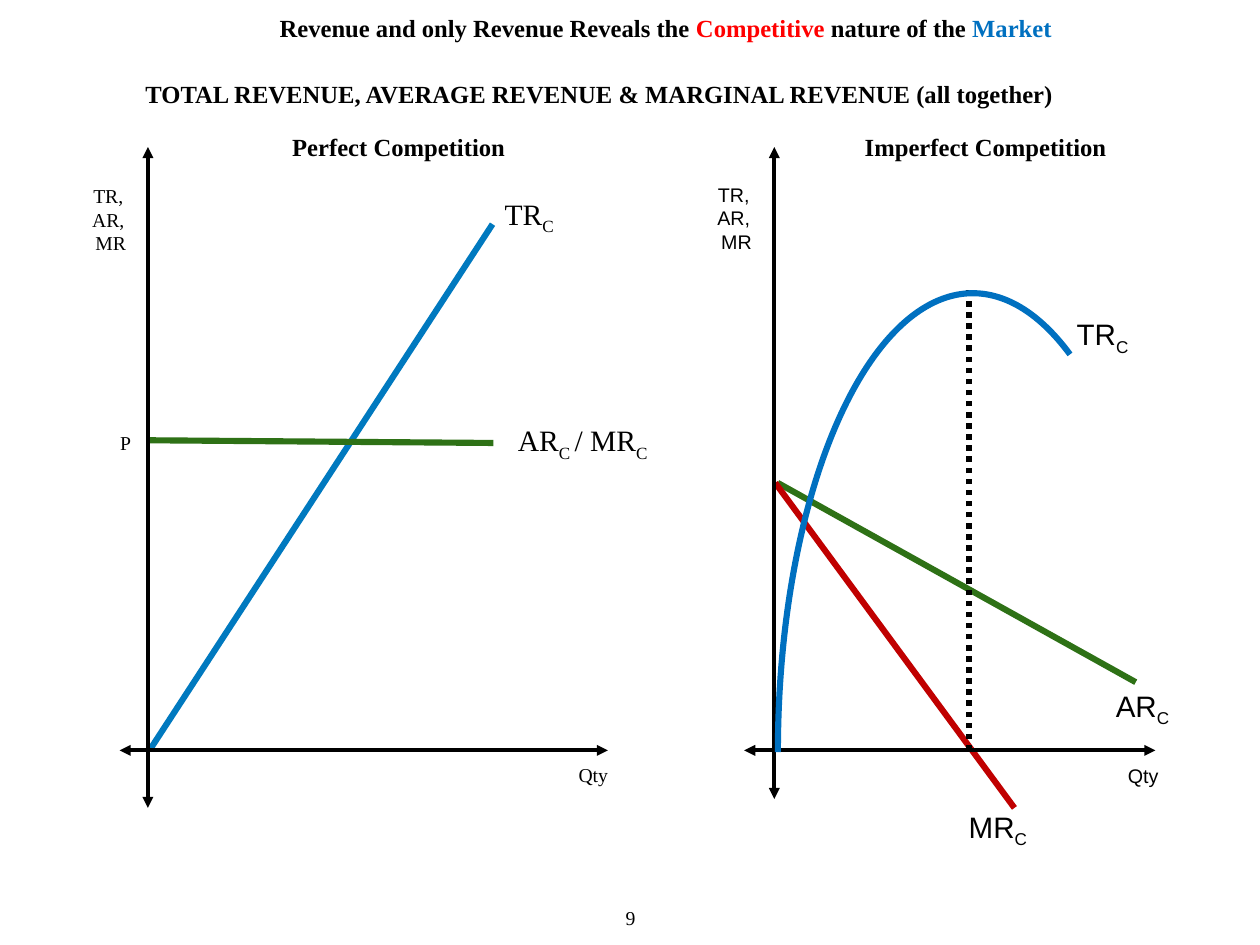
from pptx import Presentation
from pptx.dml.color import RGBColor
from pptx.enum.dml import MSO_LINE
from pptx.enum.shapes import MSO_CONNECTOR, MSO_SHAPE
from pptx.enum.text import MSO_ANCHOR, MSO_AUTO_SIZE, PP_ALIGN
from pptx.oxml.ns import qn
from pptx.util import Pt
from lxml.etree import SubElement


class Theme:
    black = RGBColor(0x00, 0x00, 0x00)
    blue = RGBColor(0x00, 0x79, 0xBF)
    curve = RGBColor(0x00, 0x70, 0xC0)
    green = RGBColor(0x2E, 0x71, 0x16)
    dark_red = RGBColor(0xC0, 0x00, 0x00)
    red = RGBColor(0xFF, 0x00, 0x00)
    serif, sans = "Times New Roman", "Arial"
    small, head, large = Pt(16), Pt(20), Pt(24)
    axis, dots, thick = Pt(3), Pt(4.5), Pt(5)


deck = Presentation()
deck.slide_width, deck.slide_height = Pt(1024), Pt(768)
slide = deck.slides.add_slide(deck.slide_layouts[5])
shapes = slide.shapes


def label(parts, box, size, face, bold=False, wrap=True):
    """Add centred text; every second part is set as a subscript."""
    frame = shapes.add_textbox(*map(Pt, box)).text_frame
    frame.word_wrap = wrap
    frame.vertical_anchor = MSO_ANCHOR.MIDDLE
    frame.margin_left = frame.margin_right = Pt(4.5)
    frame.margin_top = frame.margin_bottom = Pt(4.5)
    frame.text = parts[0]
    for part in parts[1:]:
        frame.paragraphs[-1].add_run().text = part
    for para in frame.paragraphs:
        para.alignment = PP_ALIGN.CENTER
        for i, run in enumerate(para.runs):
            run.font.size, run.font.name, run.font.bold = size, face, bold
            run.font.color.rgb = Theme.black
            if i % 2:
                run.font._element.set("baseline", "-25000")


def draw(ends, color, width, arrows=False, dash=None):
    line = shapes.add_connector(MSO_CONNECTOR.STRAIGHT, *map(Pt, ends))
    line.line.color.rgb = color
    line.line.width = width
    if dash:
        line.line.dash_style = dash
    if arrows:
        for end in ("a:headEnd", "a:tailEnd"):
            SubElement(line.line._get_or_add_ln(), qn(end), type="triangle")
    SubElement(line._element.spPr, qn("a:effectLst"))


# Headings
title = shapes.title
title.left, title.top, title.width, title.height = map(Pt, (220, 7, 658, 32))
frame = title.text_frame
frame.word_wrap = True
frame.auto_size = MSO_AUTO_SIZE.NONE
frame.vertical_anchor = MSO_ANCHOR.TOP
para = frame.paragraphs[0]
para.alignment = PP_ALIGN.JUSTIFY
for text, color in (
    ("Revenue and only Revenue Reveals the ", Theme.black),
    ("Competitive", Theme.red),
    (" nature of the ", Theme.black),
    ("Market", Theme.curve),
):
    run = para.add_run()
    run.text = text
    run.font.size, run.font.name, run.font.bold = Theme.head, Theme.serif, True
    run.font.color.rgb = color

for text, box in (
    ("TOTAL REVENUE, AVERAGE REVENUE & MARGINAL REVENUE (all together)", (80, 60, 814, 32)),
    ("Perfect Competition", (202, 103, 244, 32)),
    ("Imperfect Competition", (679, 103, 244, 32)),
):
    label([text], box, Theme.head, Theme.serif, bold=True)

# Curves, axes and the line at peak revenue
for ends, color in (
    ((122.4, 608.4, 400.3, 182.2), Theme.blue),
    ((120, 357.8, 401, 360), Theme.green),
    ((632, 392.4, 923, 554.4), Theme.green),
    ((630, 392.4, 824.4, 656.6), Theme.dark_red),
):
    draw(ends, color, Theme.thick)
for ends in (
    (120.2, 119.5, 120.2, 656.6),
    (494, 609.8, 97.2, 609.8),
    (629.3, 119.5, 629.3, 649.4),
    (939, 609.8, 604.8, 609.8),
):
    draw(ends, Theme.black, Theme.axis, arrows=True)
draw((787.7, 609.8, 787.7, 235.4), Theme.black, Theme.dots, dash=MSO_LINE.ROUND_DOT)

arc = shapes.add_shape(MSO_SHAPE.ARC, *map(Pt, (632.2, 238.3, 316.8, 746)))
arc.adjustments[0], arc.adjustments[1] = 108, 170.24
arc.shadow.inherit = False
arc.fill.background()
arc.line.color.rgb = Theme.curve
arc.line.width = Theme.thick

# Curve labels
for parts, box, face in (
    (["TR", "C"], (392, 157, 76, 37), Theme.serif),
    (["AR", "C ", "/ MR", "C"], (398, 341, 151, 37), Theme.serif),
    (["TR", "C"], (862, 255, 68, 37), Theme.sans),
    (["AR", "C"], (901, 557, 55, 37), Theme.sans),
    (["MR", "C"], (772, 655, 78, 37), Theme.sans),
):
    label(parts, box, Theme.large, face)

# Axis labels
for text, box, face in (
    ("TR, \nAR, \nMR", (52, 145.4, 76, 66), Theme.serif),
    ("P", (64, 346.3, 76, 27), Theme.serif),
    ("Qty", (444.2, 616.3, 76, 27), Theme.serif),
    ("TR, \nAR, \nMR", (564.5, 144, 68, 66), Theme.sans),
    ("Qty", (895, 617, 68, 27), Theme.sans),
):
    label([text], box, Theme.small, face)
label(["9"], (504, 732.2, 16, 27), Theme.small, Theme.serif, wrap=False)

deck.save("out.pptx")
